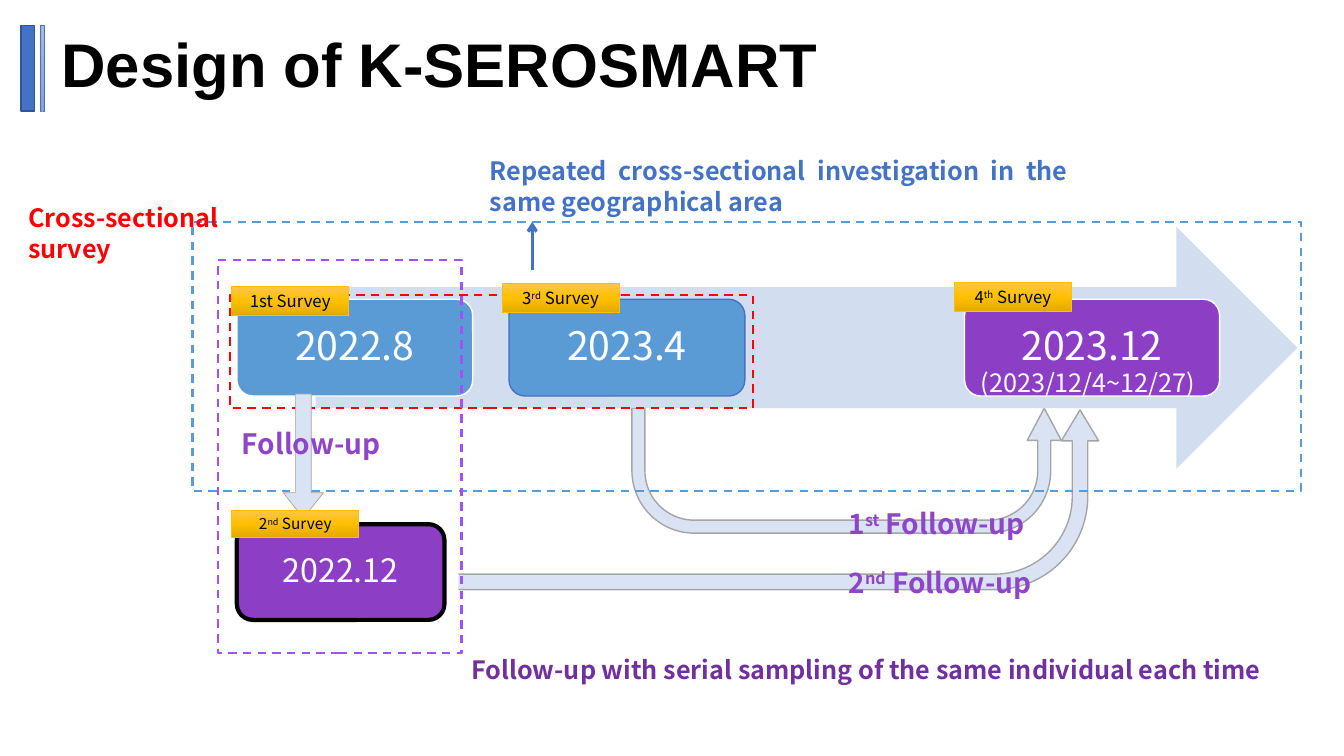
from copy import deepcopy

from pptx import Presentation
from pptx.dml.color import RGBColor
from pptx.enum.dml import MSO_LINE
from pptx.enum.shapes import MSO_CONNECTOR, MSO_SHAPE
from pptx.enum.text import MSO_ANCHOR, MSO_AUTO_SIZE, PP_ALIGN
from pptx.oxml.ns import qn
from pptx.util import Pt
from lxml.etree import SubElement

SANS = "Noto Sans CJK KR"
C = {
    "white": "FFFFFF", "black": "000000", "red": "FF0000",
    "blue": "4472C4", "sky": "5B9BD5", "navy": "325491", "band": "D2DEEF",
    "path": "DAE3F3", "grey": "A5A5A5", "gold": "FFC000",
    "purple": "8C3FC5", "label": "8F45C7", "deep": "7030A0", "violet": "A151F9",
}
GOLD = ("FFC64B", "FFC000", "E3AB00")
PALE = ("A8B7DF", "9AABD9", "889ED7")


def rgb(name):
    return RGBColor.from_string(C[name])


def write(tf, text, size=18, color="black", font=SANS, bold=False, align=PP_ALIGN.LEFT,
          anchor=MSO_ANCHOR.TOP, inset=None, spacing=None):
    """Fill a text frame; parts between ^ marks are superscript."""
    tf.word_wrap = True
    tf.auto_size = MSO_AUTO_SIZE.NONE
    tf.vertical_anchor = anchor
    if inset is not None:
        tf.margin_left = tf.margin_right = tf.margin_top = tf.margin_bottom = Pt(inset)
    p = tf.paragraphs[0]
    p.alignment = align
    if spacing:
        p.line_spacing = spacing
    for i, part in enumerate(text.split("^")):
        r = p.add_run()
        r.text = part
        r.font.size, r.font.name, r.font.bold = Pt(size), font, bold
        r.font.color.rgb = rgb(color)
        if i % 2:
            r.font._element.set("baseline", "30000")


def shape(s, kind, box, fill=None, line=None, width=1, dash=False, adj=(), flip=False):
    """Add a preset shape; fill is a colour name or three gradient stops."""
    sp = s.shapes.add_shape(kind, *map(Pt, box))
    sp.shadow.inherit = False
    for i, value in enumerate(adj):
        sp.adjustments[i] = value
    if flip:
        sp._element.spPr.find(qn("a:xfrm")).set("flipV", "1")
    if fill is None:
        sp.fill.background()
    elif isinstance(fill, str):
        sp.fill.solid()
        sp.fill.fore_color.rgb = rgb(fill)
    else:
        sp.fill.gradient()
        sp.fill.gradient_angle = 270
        stops = sp._element.spPr.find(".//" + qn("a:gsLst"))
        stops.insert(1, deepcopy(stops[0]))
        for i, (stop, color) in enumerate(zip(sp.fill.gradient_stops, fill)):
            stop.position = i / 2
            stop.color.rgb = RGBColor.from_string(color)
    if line is None:
        sp.line.fill.background()
    else:
        sp.line.color.rgb = rgb(line)
        sp.line.width = Pt(width)
        if dash:
            sp.line.dash_style = MSO_LINE.DASH
    return sp


def frame(s, box, color):
    shape(s, MSO_SHAPE.RECTANGLE, box, line=color, width=1.5, dash=True)


def label(s, box, text, **fmt):
    write(s.shapes.add_textbox(*map(Pt, box)).text_frame, text, **fmt)


def note(s, box, text, color):
    label(s, box, text, color=color, bold=True, align=PP_ALIGN.JUSTIFY,
          anchor=MSO_ANCHOR.MIDDLE)


def card(s, box, date, fill, line, kind=MSO_SHAPE.ROUNDED_RECTANGLE, width=1, size=28,
         inset=11.5):
    sp = shape(s, kind, box, fill, line, width)
    write(sp.text_frame, date, size=size, color="white", align=PP_ALIGN.CENTER,
          anchor=MSO_ANCHOR.MIDDLE, inset=inset, spacing=0.9)


def tag(s, box, text, size=12):
    sp = shape(s, MSO_SHAPE.RECTANGLE, box, GOLD, "gold", 0.5)
    write(sp.text_frame, text, size=size, align=PP_ALIGN.CENTER, anchor=MSO_ANCHOR.MIDDLE)


def heading(s, x, y, w, h):
    shape(s, MSO_SHAPE.RECTANGLE, (x, y + 3, 9.4, h), "blue", "navy")
    shape(s, MSO_SHAPE.RECTANGLE, (x + 13.7, y + 3, 2.9, h), PALE, "blue", 0.5)
    title = s.shapes.title
    title.left, title.top, title.width, title.height = map(Pt, (x + 21.6, y, w - 21.6, h))
    write(title.text_frame, "Design of K-SEROSMART", size=44, font="Arial", bold=True)


def follow_up_paths(s, x, y, w, h):
    """Both U-turn arrows; a white panel covers the left bend of the outer one."""
    shape(s, MSO_SHAPE.U_TURN_ARROW, (x + 187.2, y + 3.6, 306.7, 89.3), "path", "grey",
          adj=(0.104, 0.136, 0.257, 0.5, 1), flip=True)
    shape(s, MSO_SHAPE.U_TURN_ARROW, (x, y, w, h), "path", "grey",
          adj=(0.083, 0.1, 0.166, 0.5, 0.964), flip=True)
    shape(s, MSO_SHAPE.RECTANGLE, (x - 13, y - 18, 76.3, 163.4), "white")


def timeline(s, x, y, w, h):
    shape(s, MSO_SHAPE.RIGHT_ARROW, (x + 87.9, y + 3.6, 701.3, 172.8), "band")
    for dx, cw, date, fill, line in (
        (31.7, 168.5, "2022.8", "sky", "white"),
        (226.1, 168.5, "2023.4", "sky", "blue"),
        (551.5, 182.2, "2023.12", "purple", "white"),
    ):
        card(s, (x + dx, y + 55.4, cw, 69.1), date, fill, line)
    frame(s, (x + 26.7, y + 52.6, 373.7, 80.6), "red")
    frame(s, (x, y, w, h), "sky")
    for dx, dy, text in ((28.1, 46.1, "1st Survey"), (221.1, 43.9, "3^rd^ Survey"),
                         (544.3, 43.2, "4^th^ Survey")):
        tag(s, (x + dx, y + dy, 83.5, 20.9), text)
    label(s, (x + 555.9, y + 100.1, 177.8, 28.8), "(2023/12/4~12/27)", color="white")
    note(s, (x - 124.5, y - 30.2, 159.8, 76.3), "Cross-sectional survey", "red")
    note(s, (x + 205.2, y - 43.2, 427, 35.3),
         "Repeated cross-sectional investigation in the same geographical area", "blue")
    up = s.shapes.add_connector(MSO_CONNECTOR.STRAIGHT, Pt(x + 242.7), Pt(y + 34.6),
                                Pt(x + 242.7), Pt(y))
    up.line.color.rgb = rgb("blue")
    up.line.width = Pt(2.25)
    SubElement(up.line._get_or_add_ln(), qn("a:tailEnd"), type="arrow")
    SubElement(up._element.spPr, qn("a:effectLst"))


def second_survey(s, x, y, w, h):
    shape(s, MSO_SHAPE.DOWN_ARROW, (x + 46.8, y + 95.7, 28.8, 88.6), "path", "grey", 0.5,
          adj=(0.395, 0.631))
    card(s, (x + 13.7, y + 188.6, 148.3, 68.4), "2022.12", "purple", "black",
         kind=MSO_SHAPE.FLOWCHART_ALTERNATE_PROCESS, width=3, size=23, inset=3.6)
    frame(s, (x, y, w, h), "violet")
    tag(s, (x + 10.1, y + 178.5, 90.7, 19.4), "2^nd^ Survey", size=11)
    note(s, (x + w, y + 264.2, 578.9, 56.2),
         "Follow-up with serial sampling of the same individual each time", "deep")
    for dx, dy, lw, text in ((10.1, 115.2, 113.8, "Follow-up"),
                             (443.5, 172.8, 164.9, "1^st^ Follow-up"),
                             (443.5, 214.5, 164.9, "2^nd^ Follow-up")):
        label(s, (x + dx, y + dy, lw, 31.7), text, size=20, color="label", bold=True)


def main():
    prs = Presentation()
    prs.slide_width, prs.slide_height = Pt(960), Pt(540)
    s = prs.slides.add_slide(prs.slide_layouts[5])
    heading(s, 15.1, 15.1, 936, 61.2)
    follow_up_paths(s, 264.2, 288, 520.6, 133.2)
    timeline(s, 137.5, 158.4, 792, 192.2)
    second_survey(s, 155.5, 185.8, 174.2, 280.8)
    prs.save("out.pptx")


if __name__ == "__main__":
    main()
